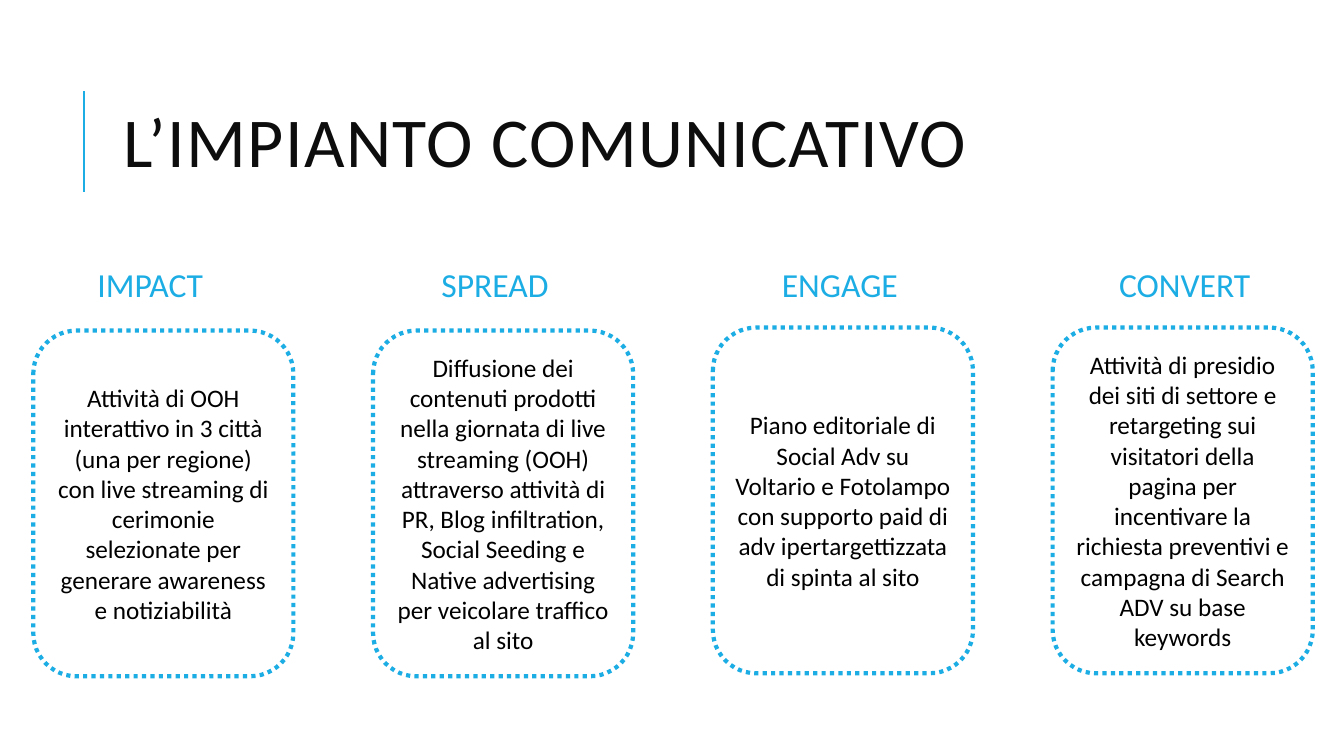
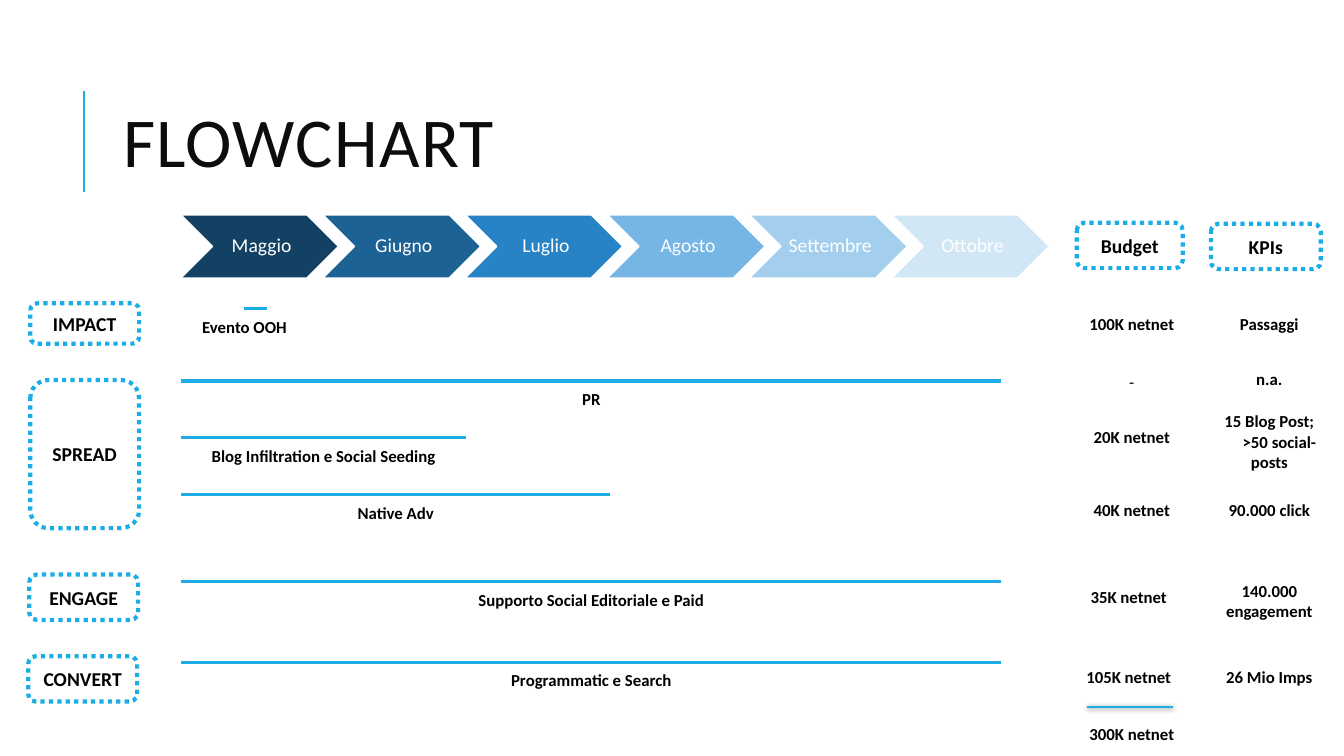
from lxml.etree import SubElement
from pptx import Presentation
from pptx.dml.color import RGBColor
from pptx.enum.dml import MSO_LINE
from pptx.enum.shapes import MSO_CONNECTOR, MSO_SHAPE
from pptx.enum.text import MSO_ANCHOR, MSO_AUTO_SIZE, PP_ALIGN
from pptx.oxml.ns import qn
from pptx.util import Inches, Pt

THEME = {
    "font": "Calibri",
    "accent": RGBColor.from_string("1CADE4"),
    "title": RGBColor.from_string("0D0D0D"),
    "text": RGBColor.from_string("000000"),
    "white": RGBColor.from_string("FFFFFF"),
    "months": ["134163", "1D6294", "2683C6", "75B6E5", "A3CEED", "D1E7F6"],
    "title_size": Pt(50),
    "heading_size": Pt(24),
    "body_size": Pt(18),
    "tag_size": Pt(14),
    "label_size": Pt(12),
}
DOTTED = {
    "kind": MSO_SHAPE.ROUNDED_RECTANGLE,
    "fill": THEME["white"],
    "line": {"width": Pt(3), "dash_style": MSO_LINE.ROUND_DOT},
    "line_color": THEME["accent"],
}
TAG = {"size": THEME["tag_size"], "bold": True}
LABEL = {"size": THEME["label_size"], "bold": True}


def add_line(slide, start, end, width, shadow=False):
    """Draw an accent line between two (x, y) points in inches."""
    points = [Inches(value) for value in (*start, *end)]
    connector = slide.shapes.add_connector(MSO_CONNECTOR.STRAIGHT, *points)
    connector.line.color.rgb = THEME["accent"]
    connector.line.width = Pt(width)
    effects = SubElement(connector._element.spPr, qn("a:effectLst"))
    if shadow:
        outer = SubElement(effects, qn("a:outerShdw"), blurRad=str(Pt(4)),
                           dist=str(Pt(1)), dir="5400000")
        color = SubElement(outer, qn("a:srgbClr"), val="000000")
        SubElement(color, qn("a:alpha"), val="50000")


def add_label(slide, box, text, kind=None, fill=None, line=None,
              line_color=None, color=THEME["text"], **font):
    """Add centred text in a text box, or in a preset shape if kind is given."""
    box = [Inches(value) for value in box]
    if kind is None:
        shape = slide.shapes.add_textbox(*box)
    else:
        shape = slide.shapes.add_shape(kind, *box)
        shape.shadow.inherit = False
        shape.fill.solid()
        shape.fill.fore_color.rgb = fill
        shape.line.color.rgb = line_color
        for name, value in line.items():
            setattr(shape.line, name, value)
        shape.text_frame.vertical_anchor = MSO_ANCHOR.MIDDLE
    frame = shape.text_frame
    frame.word_wrap = True
    frame.text = text
    for paragraph in frame.paragraphs:
        paragraph.alignment = PP_ALIGN.CENTER
        paragraph.font.name = THEME["font"]
        paragraph.font.color.rgb = color
        for name, value in font.items():
            setattr(paragraph.font, name, value)
    return shape


presentation = Presentation()
presentation.slide_width = Inches(13.33)
presentation.slide_height = Inches(7.5)

slides = []
for title_text in ("L’IMPIANTO COMUNICATIVO", "FLOWCHART"):
    slide = presentation.slides.add_slide(presentation.slide_layouts[5])
    slides.append(slide)
    add_line(slide, (0.83, 1.9), (0.83, 0.9), 1.5)
    title = slide.shapes.title
    title.left, title.top = Inches(1.12), Inches(0.64)
    title.width, title.height = Inches(10.63), Inches(1.64)
    title.text = title_text
    title.text_frame.auto_size = MSO_AUTO_SIZE.NONE
    title.text_frame.vertical_anchor = MSO_ANCHOR.MIDDLE
    paragraph = title.text_frame.paragraphs[0]
    paragraph.alignment = PP_ALIGN.LEFT
    paragraph.line_spacing = 0.8
    run = paragraph.runs[0]
    run.font.name = THEME["font"]
    run.font.size = THEME["title_size"]
    run.font.color.rgb = THEME["title"]
    run.font._element.set("spc", "100")
plan_slide, flow_slide = slides

# Communication plan: four phases
phases = [
    ("IMPACT", 3.28, "Attività di OOH interattivo in 3 città (una per regione) con live "
     "streaming di cerimonie selezionate per generare awareness e notiziabilità"),
    ("SPREAD", 3.28, "Diffusione dei contenuti prodotti nella giornata di live streaming "
     "(OOH) attraverso attività di PR, Blog infiltration, Social Seeding e Native "
     "advertising per veicolare traffico al sito"),
    ("ENGAGE", 3.25, "Piano editoriale di Social Adv su Voltario e Fotolampo con supporto "
     "paid di adv ipertargettizzata di spinta al sito"),
    ("CONVERT", 3.25, "Attività di presidio dei siti di settore e retargeting sui "
     "visitatori della pagina per incentivare la richiesta preventivi e campagna di "
     "Search ADV su base keywords"),
]
for index, (phase, top, description) in enumerate(phases):
    add_label(plan_slide, (0.48 + 3.42 * index, 2.57, 2.02, 0.5), phase,
              color=THEME["accent"], size=THEME["heading_size"])
    add_label(plan_slide, (0.33 + 3.37 * index, top, 2.58, 3.43), description,
              size=THEME["body_size"], **DOTTED)

# Flowchart: months
months = ["Maggio", "Giugno", "Luglio", "Agosto", "Settembre", "Ottobre"]
for index, (month, shade) in enumerate(zip(months, THEME["months"])):
    chevron = add_label(flow_slide, (1.79 + 1.41 * index, 2.13, 1.57, 0.63), month,
                        kind=MSO_SHAPE.CHEVRON, fill=RGBColor.from_string(shade),
                        line={"width": Pt(1.25)}, line_color=THEME["white"],
                        color=THEME["white"], size=THEME["tag_size"])
    frame = chevron.text_frame
    frame.margin_left = Inches(0.06)
    frame.margin_top = frame.margin_right = frame.margin_bottom = Inches(0.02)
    frame.paragraphs[0].line_spacing = 0.9

# Flowchart: column and phase tags
tags = [
    ("Budget", (10.68, 2.21, 1.05, 0.45)),
    ("KPIs", (12.01, 2.22, 1.09, 0.45)),
    ("IMPACT", (0.3, 3.01, 1.08, 0.4)),
    ("SPREAD", (0.3, 3.77, 1.08, 1.47)),
    ("ENGAGE", (0.29, 5.7, 1.08, 0.45)),
    ("CONVERT", (0.28, 6.51, 1.08, 0.45)),
]
for text, box in tags:
    add_label(flow_slide, box, text, **TAG, **DOTTED)

# Flowchart: activity, line start, line end, label end, line height
TIMELINE_LEFT = 1.8
activities = [
    ("Evento OOH", 2.42, 2.65, 3.05, 3.06),
    ("PR", TIMELINE_LEFT, 9.93, 9.93, 3.78),
    ("Blog Infiltration e Social Seeding", TIMELINE_LEFT, 4.62, 4.62, 4.34),
    ("Native Adv", TIMELINE_LEFT, 6.05, 6.05, 4.91),
    ("Supporto Social Editoriale e Paid", TIMELINE_LEFT, 9.93, 9.93, 5.77),
    ("Programmatic e Search", TIMELINE_LEFT, 9.93, 9.93, 6.57),
]
for activity, start, end, label_end, height in activities:
    add_line(flow_slide, (start, height), (end, height), 2.25)
    add_label(flow_slide, (TIMELINE_LEFT, height + 0.03, label_end - TIMELINE_LEFT, 0.3),
              activity, **LABEL)

# Flowchart: budgets with their total
budgets = [
    ("100K netnet", 10.69, 3.06),
    ("-", 10.69, 3.64),
    ("20K netnet", 10.69, 4.18),
    ("40K netnet", 10.69, 4.91),
    ("35K netnet", 10.66, 5.77),
    ("105K netnet", 10.66, 6.57),
    ("300K netnet", 10.69, 7.13),
]
for budget, left, top in budgets:
    add_label(flow_slide, (left, top, 1.07, 0.3), budget,
              size=THEME["label_size"], bold=budget != "-")
add_line(flow_slide, (10.78, 7.01), (11.63, 7.01), 1.5, shadow=True)

# Flowchart: KPIs
kpis = [
    ("Passaggi", 3.06, 0.3),
    ("n.a.", 3.61, 0.3),
    ("15 Blog Post;\n>50 social-posts", 4.03, 0.71),
    ("90.000 click", 4.91, 0.3),
    ("140.000 engagement", 5.71, 0.5),
    ("26 Mio Imps", 6.57, 0.3),
]
for kpi, top, height in kpis:
    label = add_label(flow_slide, (12.01, top, 1.16, height), kpi, **LABEL)
    for paragraph in label.text_frame.paragraphs[1:]:
        paragraph._p.get_or_add_pPr().set("indent", str(Inches(0.2)))

presentation.save("out.pptx")
